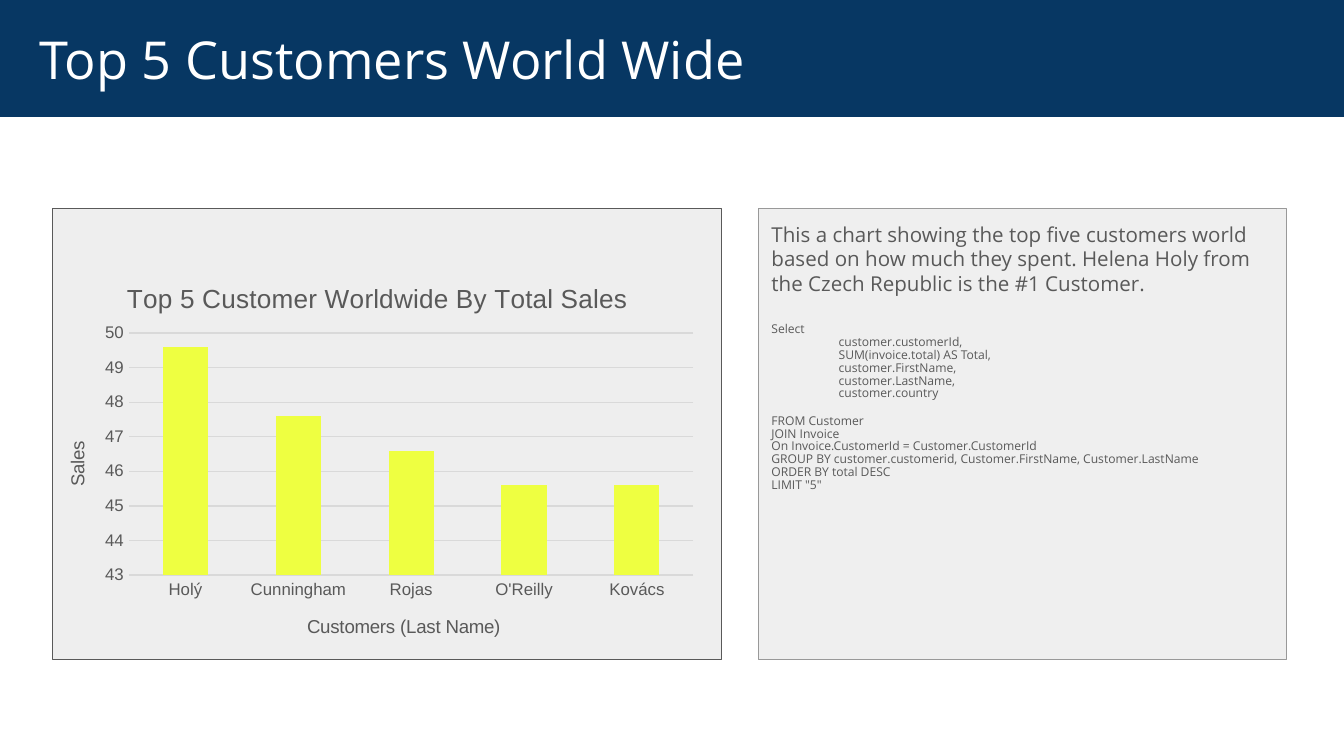
from dataclasses import dataclass

from lxml import etree
from pptx import Presentation
from pptx.chart.data import CategoryChartData
from pptx.dml.color import RGBColor
from pptx.enum.chart import XL_CHART_TYPE as ChartType, XL_TICK_MARK as TickMark
from pptx.enum.shapes import MSO_SHAPE as Preset
from pptx.enum.text import MSO_ANCHOR as Anchor, MSO_AUTO_SIZE as AutoSize, PP_ALIGN as Align
from pptx.oxml.ns import qn
from pptx.util import Cm, Pt


@dataclass(frozen=True)
class Theme:
    navy: RGBColor = RGBColor.from_string("073763")
    white: RGBColor = RGBColor.from_string("FFFFFF")
    panel: RGBColor = RGBColor.from_string("EFEFEF")
    chart_panel: RGBColor = RGBColor.from_string("EEEEEE")
    border: RGBColor = RGBColor.from_string("999999")
    grey: RGBColor = RGBColor.from_string("595959")
    grid: RGBColor = RGBColor.from_string("D9D9D9")
    yellow: RGBColor = RGBColor.from_string("EEFF41")
    text_font: str = "Open Sans"
    chart_font: str = "Arial"
    title: Pt = Pt(28)
    lead: Pt = Pt(11)
    query: Pt = Pt(6.5)
    chart_title: Pt = Pt(14)
    axis_title: Pt = Pt(10)
    tick: Pt = Pt(9)
    hairline: Pt = Pt(0.75)


def style(font, name, size, color):
    font.name, font.size, font.color.rgb = name, size, color
    font.bold = False


def place(element, index, **fractions):
    """Fix a chart part at fractions of the chart area, given as x, y, w and h."""
    for old in element.findall(qn("c:layout")):
        element.remove(old)
    layout = etree.Element(qn("c:layout"))
    manual = etree.SubElement(layout, qn("c:manualLayout"))
    if "w" in fractions:
        etree.SubElement(manual, qn("c:layoutTarget")).set("val", "inner")
    for mode in ("xMode", "yMode"):
        etree.SubElement(manual, qn(f"c:{mode}")).set("val", "edge")
    for key, value in fractions.items():
        etree.SubElement(manual, qn(f"c:{key}")).set("val", str(value))
    element.insert(index, layout)


theme = Theme()
deck = Presentation()
deck.slide_width, deck.slide_height = Cm(25.4), Cm(14.29)
page = deck.slides.add_slide(deck.slide_layouts[1])
title, body = page.placeholders
panel_top, panel_height = Cm(3.94), Cm(8.53)

# Title band
title.left, title.top, title.width, title.height = Cm(0), Cm(0), deck.slide_width, Cm(2.21)
title.fill.solid()
title.fill.fore_color.rgb = theme.navy
frame = title.text_frame
frame.text = "Top 5 Customers World Wide"
frame.auto_size = AutoSize.NONE
frame.vertical_anchor = Anchor.MIDDLE
frame.margin_left = Cm(0.75)
frame.paragraphs[0].alignment = Align.LEFT
style(frame.paragraphs[0].runs[0].font, theme.text_font, theme.title, theme.white)

# Explanation and query
query_lines = [
    "Select",
    "\tcustomer.customerId,",
    "\tSUM(invoice.total) AS Total,",
    "\tcustomer.FirstName,",
    "\tcustomer.LastName,",
    "\tcustomer.country",
    "FROM Customer",
    "JOIN Invoice",
    "On Invoice.CustomerId = Customer.CustomerId",
    "GROUP BY customer.customerid, Customer.FirstName, Customer.LastName",
    "ORDER BY total DESC",
    'LIMIT "5"',
]
lead = ("This a chart showing the top five customers world based on how much they spent. "
        "Helena Holy from the Czech Republic is the #1 Customer.")
body.left, body.top, body.width, body.height = Cm(14.33), panel_top, Cm(9.98), panel_height
body.fill.solid()
body.fill.fore_color.rgb = theme.panel
body.line.color.rgb = theme.border
body.line.width = theme.hairline
frame = body.text_frame
frame.text = "\n".join([lead, *query_lines])
frame.auto_size = AutoSize.NONE
frame.margin_left = frame.margin_right = frame.margin_top = frame.margin_bottom = Cm(0.25)
for number, para in enumerate(frame.paragraphs):
    is_lead = number == 0
    properties = para._p.get_or_add_pPr()
    properties.set("marL", "0")
    properties.set("indent", "0")
    etree.SubElement(properties, qn("a:buNone"))
    para.line_spacing = 1.0 if is_lead else 0.88
    para.space_before = Pt(7.8) if para.text.startswith("FROM") else Pt(0)
    para.space_after = Pt(15) if is_lead else Pt(0)
    style(para.runs[0].font, theme.text_font, theme.lead if is_lead else theme.query, theme.grey)

# Chart panel
card = page.shapes.add_shape(Preset.RECTANGLE, Cm(0.99), panel_top, Cm(12.65), panel_height)
card.shadow.inherit = False
card.fill.solid()
card.fill.fore_color.rgb = theme.chart_panel
card.line.color.rgb = theme.grey
card.line.width = theme.hairline

# Sales chart
sales = CategoryChartData()
sales.categories = ["Holý", "Cunningham", "Rojas", "O'Reilly", "Kovács"]
sales.add_series("Series 1", [49.6, 47.6, 46.6, 45.6, 45.6])
chart = page.shapes.add_chart(
    ChartType.COLUMN_CLUSTERED, Cm(0.66), Cm(4.85), Cm(12.7), Cm(7.62), sales).chart
chart.has_legend = False
style(chart.font, theme.chart_font, theme.tick, theme.grey)

plot = chart.plots[0]
plot.gap_width = 150
plot.vary_by_categories = False
plot.series[0].format.fill.solid()
plot.series[0].format.fill.fore_color.rgb = theme.yellow

customers, totals = chart.category_axis, chart.value_axis
for axis in (customers, totals):
    axis.major_tick_mark = axis.minor_tick_mark = TickMark.NONE
    axis.format.line.fill.background()
    style(axis.tick_labels.font, theme.chart_font, theme.tick, theme.grey)
totals.minimum_scale, totals.maximum_scale, totals.major_unit = 43, 50, 1
totals.tick_labels.number_format = "0"
totals.tick_labels.number_format_is_linked = False
totals.major_gridlines.format.line.color.rgb = theme.grid
totals.major_gridlines.format.line.width = theme.hairline

captions = [
    (chart.chart_title, "Top 5 Customer Worldwide By Total Sales", theme.chart_title, 0.13, 0.05),
    (customers.axis_title, "Customers (Last Name)", theme.axis_title, 0.4, 0.88),
    (totals.axis_title, "Sales", theme.axis_title, 0.04, 0.45),
]
for caption, text, size, x, y in captions:
    caption.text_frame.text = text
    style(caption.text_frame.paragraphs[0].runs[0].font, theme.chart_font, size, theme.grey)
    place(caption._element, 1, x=x, y=y)
place(chart._chartSpace.chart.plotArea, 0, x=0.14, y=0.19, w=0.84, h=0.6)

deck.save("out.pptx")
